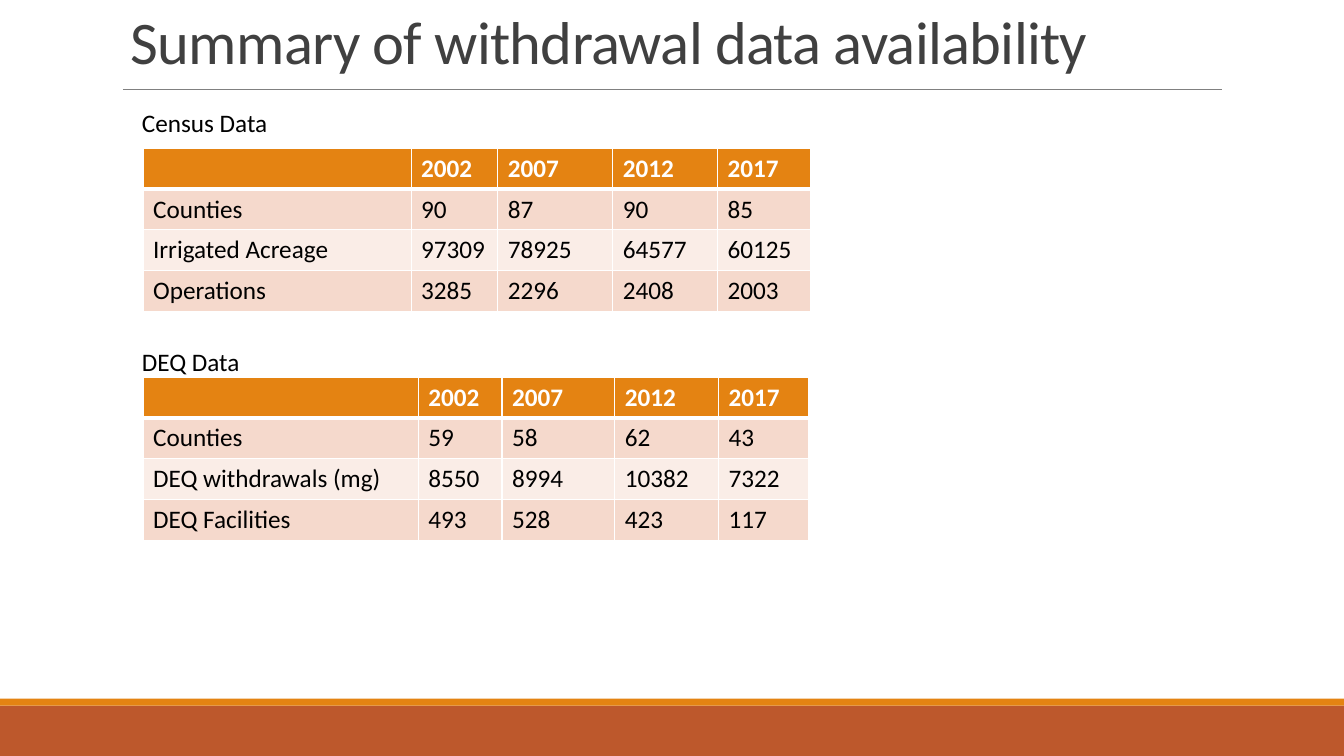
"""Build the slide that sums up withdrawal data by year in two tables."""
from lxml.etree import SubElement as Sub
from pptx import Presentation
from pptx.dml.color import RGBColor as Rgb
from pptx.enum.shapes import MSO_CONNECTOR as Line, MSO_SHAPE as Kind
from pptx.enum.text import MSO_ANCHOR as Anchor
from pptx.oxml.ns import qn
from pptx.util import Pt

TITLE = "Summary of withdrawal data availability"
YEARS = ("", "2002", "2007", "2012", "2017")
TABLES = [
    dict(label="Census Data", label_top=73.4, top=105.8,
         widths=(191.5, 61.9, 82.1, 74.9, 66.2),
         rows=[("Counties", "90", "87", "90", "85"),
               ("Irrigated Acreage", "97309", "78925", "64577", "60125"),
               ("Operations", "3285", "2296", "2408", "2003")]),
    dict(label="DEQ Data", label_top=244.1, top=269.3,
         widths=(196.6, 59.8, 80.6, 74.2, 64.1),
         rows=[("Counties", "59", "58", "62", "43"),
               ("DEQ withdrawals (mg)", "8550", "8994", "10382", "7322"),
               ("DEQ Facilities", "493", "528", "423", "117")]),
]

WHITE = Rgb(0xFF, 0xFF, 0xFF)
BLACK = Rgb(0, 0, 0)
DARK = Rgb(0x40, 0x40, 0x40)
GRAY = Rgb(0x80, 0x80, 0x80)
ORANGE = Rgb(0xE4, 0x83, 0x12)
RUST = Rgb(0xBD, 0x58, 0x2C)
BANDS = (Rgb(0xFA, 0xED, 0xE7), Rgb(0xF5, 0xD9, 0xCC))

WIDE, HIGH = 960, 540
ROW = 29.2
BARS = [(504, 36, RUST), (499, 5, ORANGE)]
BODY = dict(name="Calibri", size=Pt(18), bold=False)
HEAD = dict(BODY, bold=True)
BIG = dict(BODY, size=Pt(43.2))


def write(frame, text, style, color):
    run = frame.paragraphs[0].add_run()
    run.text = text
    for key, value in style.items():
        setattr(run.font, key, value)
    run.font.color.rgb = color
    return run


def add_text(shapes, box, text, style, color):
    frame = shapes.add_textbox(*map(Pt, box)).text_frame
    frame.word_wrap = True
    return frame, write(frame, text, style, color)


def add_edges(cell, row):
    props = cell._tc.get_or_add_tcPr()
    widths = dict(lnL=1, lnR=1, lnT=3 if row == 1 else 1, lnB=3 if row == 0 else 1)
    for tag, width in widths.items():
        edge = Sub(props, qn(f"a:{tag}"), w=str(Pt(width)))
        Sub(Sub(edge, qn("a:solidFill")), qn("a:srgbClr"), val=str(WHITE))


def add_grid(shapes, label, label_top, top, widths, rows):
    data = [YEARS, *rows]
    box = (102.2, top, sum(widths), ROW * len(data))
    table = shapes.add_table(len(data), len(YEARS), *map(Pt, box)).table
    for column, width in zip(table.columns, widths):
        column.width = Pt(width)
    for r, values in enumerate(data):
        table.rows[r].height = Pt(ROW)
        style, ink, fill = (BODY, BLACK, BANDS[r % 2]) if r else (HEAD, WHITE, ORANGE)
        for c, value in enumerate(values):
            cell = table.cell(r, c)
            add_edges(cell, r)
            cell.fill.solid()
            cell.fill.fore_color.rgb = fill
            write(cell.text_frame, value, style, ink)
    add_text(shapes, (94.3, label_top, 136.8, 28.8), label, BODY, BLACK)


def main():
    deck = Presentation()
    deck.slide_width, deck.slide_height = Pt(WIDE), Pt(HIGH)
    shapes = deck.slides.add_slide(deck.slide_layouts[6]).shapes

    for top, height, color in BARS:
        bar = shapes.add_shape(Kind.RECTANGLE, 0, Pt(top), Pt(WIDE), Pt(height))
        bar.shadow.inherit = False
        bar.fill.solid()
        bar.fill.fore_color.rgb = color
        bar.line.fill.background()

    rule = shapes.add_connector(Line.STRAIGHT, *map(Pt, (87.8, 64, 872.6, 64)))
    rule.line.color.rgb = GRAY
    rule.line.width = Pt(0.5)
    Sub(rule._element.spPr, qn("a:effectLst"))

    frame, run = add_text(shapes, (86.4, 7.9, 792, 50.4), TITLE, BIG, DARK)
    frame.vertical_anchor = Anchor.BOTTOM
    frame.paragraphs[0].line_spacing = 0.85
    run._r.get_or_add_rPr().set("spc", "-50")

    for table in TABLES:
        add_grid(shapes, **table)
    deck.save("out.pptx")


if __name__ == "__main__":
    main()
